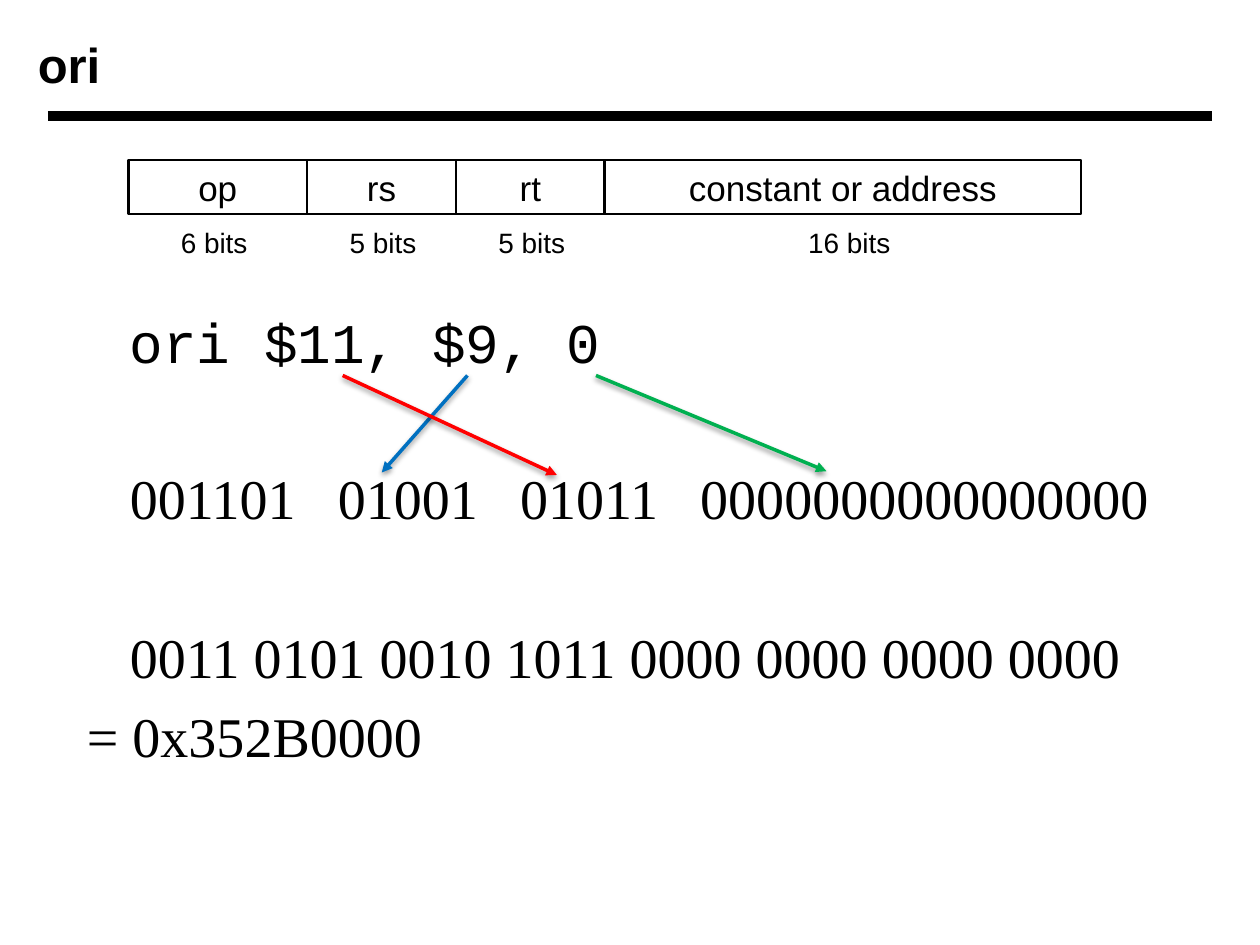
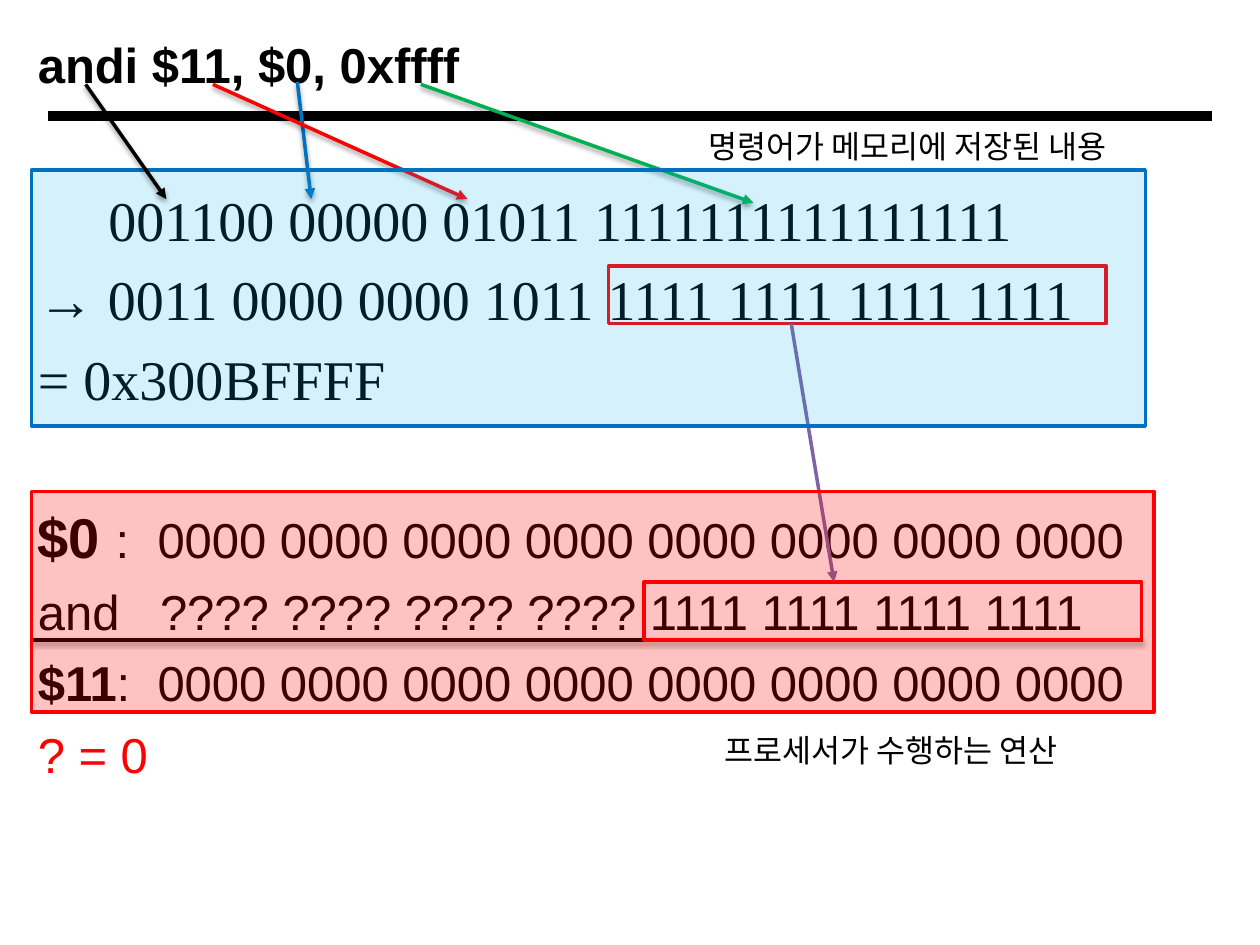
from lxml import etree
from pptx import Presentation
from pptx.dml.color import RGBColor
from pptx.enum.shapes import MSO_CONNECTOR, MSO_SHAPE
from pptx.enum.text import MSO_ANCHOR, MSO_AUTO_SIZE, PP_ALIGN
from pptx.oxml.ns import qn
from pptx.util import Inches, Pt

STRAIGHT = MSO_CONNECTOR.STRAIGHT
RECT = MSO_SHAPE.RECTANGLE
LEFT, CENTER = PP_ALIGN.LEFT, PP_ALIGN.CENTER
TOP, MIDDLE = MSO_ANCHOR.TOP, MSO_ANCHOR.MIDDLE
FIT_NONE = MSO_AUTO_SIZE.NONE

COLORS = {
    "black": "000000", "blue": "0070C0", "red": "FF0000",
    "green": "00B050", "purple": "8064A2", "sky": "00B0F0",
}
SANS, SERIF, MONO = "Arial", "Times New Roman", "Courier New"
GAP, SKIP = 7, 52
PAD = 0.05
WIDE = 16

FIELDS = [
    ("op", 6, 1.7), ("rs", 5, 3.04), ("rt", 5, 4.22),
    ("constant or address", 16, 6.74),
]
SPAN = 7.56
WORD = sum(bits for _, bits, _ in FIELDS)

ZEROS = "0000 0000 0000 0000 0000 0000 0000 0000"
SPACE = (" ", SERIF, 32, False, "black", WIDE)
ORI = {
    "title": "ori",
    "box": (0.42, 2.39, 9.17, 4.5),
    "lines": [
        (0, 0.56, 0, [("ori $11, $9, 0", MONO, 32)]),
        (51, 0.56, 0, [
            ("001101", SERIF, 32), SPACE, ("01001", SERIF, 32), SPACE,
            ("01011", SERIF, 32), SPACE, ("0000000000000000", SERIF, 32)]),
        (SKIP, 0.56, 0, [("0011 0101 0010 1011 0000 0000 0000 0000", SERIF, 32)]),
        (GAP, 0.22, 0, [("= 0x352B0000", SERIF, 32)]),
    ],
    "arrows": [
        ((3.71, 2.98), (3.03, 3.75), "blue"),
        ((2.72, 2.98), (4.42, 3.77), "red"),
        ((4.73, 2.98), (6.56, 3.74), "green"),
    ],
}
ANDI = {
    "title": "andi $11, $0, 0xffff",
    "box": (0.25, 1.42, 9.17, 5.92),
    "lines": [
        (0, 0.56, 0, [("001100 00000 01011 1111111111111111", SERIF, 32)]),
        (GAP, 0, 0, [("→ 0011 0000 0000 1011 1111 1111 1111 1111", SERIF, 32)]),
        (GAP, 0, 0, [("= 0x300BFFFF", SERIF, 32)]),
        (SKIP, 0.95, -0.95, [("$0 ", SANS, 32, True), (":\t" + ZEROS, SANS, 28)]),
        (GAP, 0.97, -0.97, [("and\t???? ???? ???? ???? 1111 1111 1111 1111", SANS, 28)]),
        (GAP, 0.95, -0.95, [("$11", SANS, 28, True), (":\t" + ZEROS, SANS, 28)]),
        (GAP, 0, 0, [("? = 0", SANS, 28, False, "red")]),
    ],
    "arrows": [
        ((2.36, 0.65), (2.47, 1.58), "blue"),
        ((1.69, 0.67), (3.71, 1.58), "red"),
        ((3.34, 0.67), (5.98, 1.61), "green"),
    ],
}
MARKS = [(4.83, 2.11), (5.11, 4.62)]
PANELS = [
    ((0.25, 1.35, 8.84, 2.03), "blue", "sky", 17),
    ((0.25, 3.9, 8.91, 1.75), "red", "red", 24),
]
NOTES = [
    ("명령어가 메모리에 저장된 내용", (5.57, 0.96, 3.59, 0.4)),
    ("프로세서가 수행하는 연산", (5.7, 5.75, 3.09, 0.4)),
]


def paint(name):
    return RGBColor.from_string(COLORS[name])


def inch(box):
    return [Inches(n) for n in box]


def style(run, font, size, bold=False, color="black", track=0):
    run.font.name = font
    run.font.size = Pt(size)
    run.font.bold = bold
    run.font.color.rgb = paint(color)
    if track:
        run._r.get_or_add_rPr().set("spc", str(track * 100))


def frame(shape, anchor=TOP, wrap=True):
    text = shape.text_frame
    text.auto_size = FIT_NONE
    text.word_wrap = wrap
    text.vertical_anchor = anchor
    text.margin_left = text.margin_right = Inches(PAD)
    text.margin_top = text.margin_bottom = Inches(PAD)
    return text


def write(shape, words, size, align=LEFT, bold=False, anchor=TOP, wrap=True):
    text = frame(shape, anchor, wrap)
    text.text = words
    para = text.paragraphs[0]
    para.alignment = align
    style(para.runs[0], SANS, size, bold)


def place(shape, box):
    shape.left, shape.top, shape.width, shape.height = inch(box)


def label(slide, words, box, size, align=LEFT, wrap=True):
    write(slide.shapes.add_textbox(*inch(box)), words, size, align, wrap=wrap)


def link(slide, start, end, color, width=2, head=True, shade=True):
    line = slide.shapes.add_connector(STRAIGHT, *inch(start + end))
    line.line.color.rgb = paint(color)
    line.line.width = Pt(width)
    props = line._element.spPr
    if head:
        etree.SubElement(props.find(qn("a:ln")), qn("a:tailEnd"), type="triangle")
    effects = etree.SubElement(props, qn("a:effectLst"))
    if shade:
        drop = etree.SubElement(
            effects, qn("a:outerShdw"), blurRad=str(Pt(3)), dist=str(Pt(1.6)),
            dir="5400000", rotWithShape="0")
        tone = etree.SubElement(drop, qn("a:srgbClr"), val=COLORS["black"])
        etree.SubElement(tone, qn("a:alpha"), val="38000")


def block(slide, box, color, width=2, fill=None, alpha=100):
    shape = slide.shapes.add_shape(RECT, *inch(box))
    shape.shadow.inherit = False
    shape.line.color.rgb = paint(color)
    shape.line.width = Pt(width)
    if fill:
        shape.fill.solid()
        shape.fill.fore_color.rgb = paint(fill)
        tone = shape._element.spPr.find(qn("a:solidFill"))[0]
        etree.SubElement(tone, qn("a:alpha"), val=str(alpha * 1000))
    else:
        shape.fill.background()
    return shape


def fill_body(body, lines):
    text = frame(body)
    for i, (space, margin, indent, runs) in enumerate(lines):
        para = text.paragraphs[0] if i == 0 else text.add_paragraph()
        props = para._p.get_or_add_pPr()
        props.set("marL", str(Inches(margin)))
        props.set("indent", str(Inches(indent)))
        etree.SubElement(props, qn("a:buNone"))
        para.line_spacing = 1.0
        para.space_before = Pt(space)
        for words, *look in runs:
            run = para.add_run()
            run.text = words
            style(run, *look)


def start(deck, page):
    slide = deck.slides.add_slide(deck.slide_layouts[1])
    title, body = slide.placeholders
    link(slide, (0.38, 0.92), (9.62, 0.92), "black", 6, False, False)
    place(title, (0.25, 0.17, 8.33, 0.67))
    write(title, page["title"], 28, bold=True, anchor=MIDDLE)
    place(body, page["box"])
    fill_body(body, page["lines"])
    for tail, tip, color in page["arrows"]:
        link(slide, tail, tip, color)
    return slide


def build_ori(deck):
    slide = start(deck, ORI)
    left = 1.02
    for name, bits, mid in FIELDS:
        width = SPAN * bits / WORD
        cell = block(slide, (left, 1.27, width, 0.43), "black", 1.5)
        write(cell, name, 20, CENTER, anchor=MIDDLE)
        label(slide, f"{bits} bits", (mid - 0.5, 1.74, 1, 0.34), 16, CENTER)
        left += width


def build_andi(deck):
    slide = start(deck, ANDI)
    link(slide, (0.25, 5.08), (9.07, 5.08), "black", head=False)
    for left, top in MARKS:
        block(slide, (left, top, 3.95, 0.46), "red")
    link(slide, (6.28, 2.57), (6.62, 4.62), "purple", shade=False)
    for box, edge, fill, alpha in PANELS:
        block(slide, box, edge, 2, fill, alpha)
    for words, box in NOTES:
        label(slide, words, box, 18, wrap=False)
    link(slide, (0.68, 0.67), (1.32, 1.58), "black")


def main():
    deck = Presentation()
    deck.slide_width, deck.slide_height = Inches(10), Inches(7.5)
    build_ori(deck)
    build_andi(deck)
    deck.save("out.pptx")


if __name__ == "__main__":
    main()
